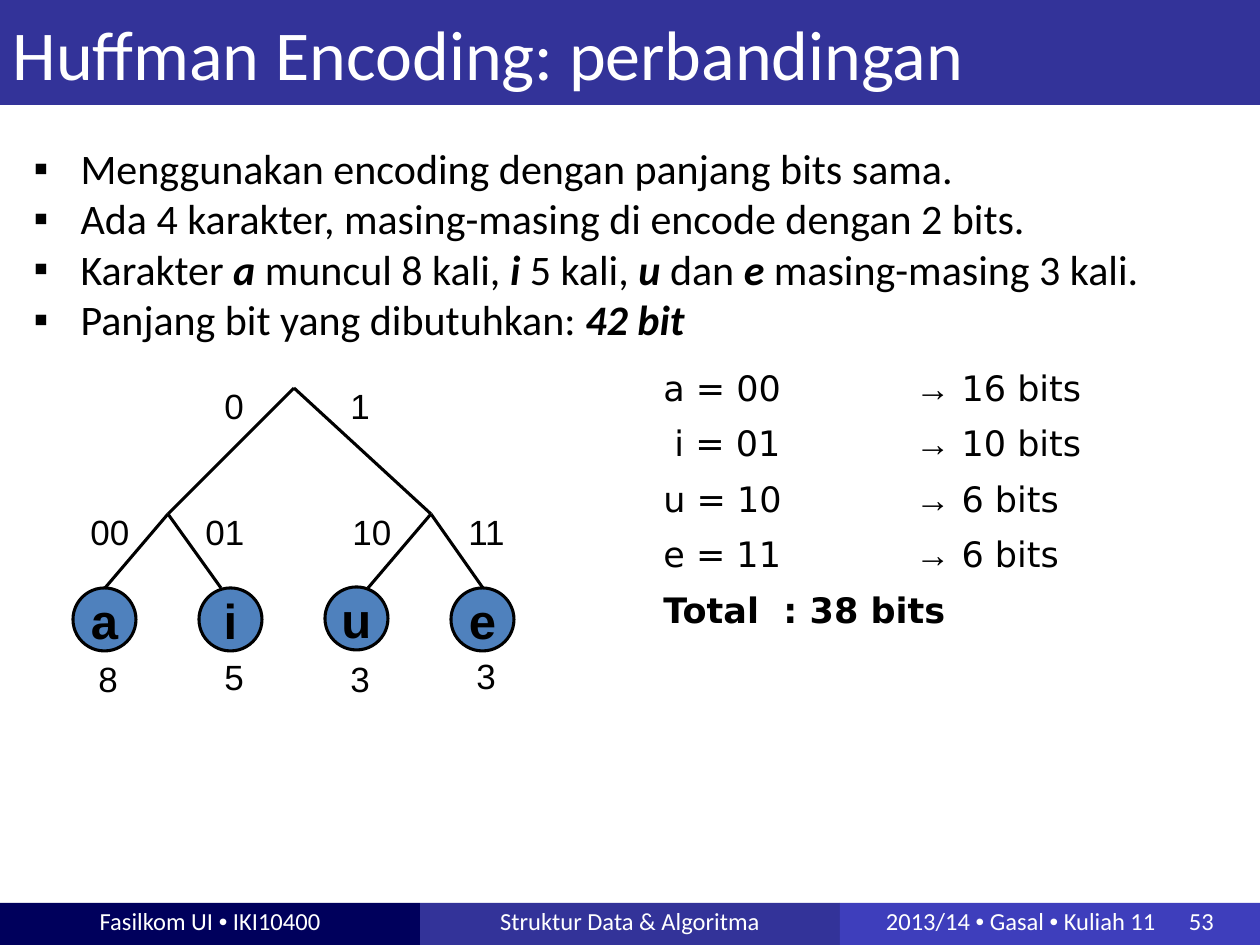
from lxml import etree
from pptx import Presentation
from pptx.dml.color import RGBColor
from pptx.enum.shapes import MSO_CONNECTOR, MSO_SHAPE
from pptx.enum.text import MSO_ANCHOR, MSO_AUTO_SIZE, PP_ALIGN
from pptx.oxml.ns import qn
from pptx.util import Pt

RECT, OVAL = MSO_SHAPE.RECTANGLE, MSO_SHAPE.OVAL
STRAIGHT = MSO_CONNECTOR.STRAIGHT
TOP, MIDDLE = MSO_ANCHOR.TOP, MSO_ANCHOR.MIDDLE
NO_FIT, GROW = MSO_AUTO_SIZE.NONE, MSO_AUTO_SIZE.SHAPE_TO_FIT_TEXT
LEFT, CENTER = PP_ALIGN.LEFT, PP_ALIGN.CENTER

BLACK = RGBColor(0x00, 0x00, 0x00)
WHITE = RGBColor(0xFF, 0xFF, 0xFF)
NAVY = RGBColor(0x00, 0x00, 0x5C)
INDIGO = RGBColor(0x33, 0x33, 0x99)
VIOLET = RGBColor(0x3E, 0x3E, 0xBC)
NODE_BLUE = RGBColor(0x4F, 0x81, 0xBD)

SANS, LABEL, CODE = "Calibri", "Arial", "DejaVu Sans"


def px(n):
    return round(n * 914400 / 126)


class Deck:
    stroke = Pt(1.75)

    def __init__(self):
        self.prs = Presentation()
        self.prs.slide_width, self.prs.slide_height = px(1260), px(945)
        self.slide = self.prs.slides.add_slide(self.prs.slide_layouts[1])
        self.shapes = self.slide.shapes

    def run(self, p, text, size, font=SANS, color=BLACK, bold=False, italic=False):
        r = p.add_run()
        r.text = text
        r.font.size, r.font.name = Pt(size), font
        r.font.bold, r.font.italic = bold, italic
        r.font.color.rgb = color

    def place(self, sp, x, y, w, h):
        sp.left, sp.top, sp.width, sp.height = px(x), px(y), px(w), px(h)

    def tab(self, p, pos):
        tabs = etree.SubElement(p._p.get_or_add_pPr(), qn("a:tabLst"))
        etree.SubElement(tabs, qn("a:tab"), pos=str(px(pos)), algn="l")

    def title(self, text, box):
        sp = self.shapes.title
        self.place(sp, *box)
        sp.fill.solid()
        sp.fill.fore_color.rgb = INDIGO
        tf = sp.text_frame
        tf.auto_size, tf.vertical_anchor = NO_FIT, MIDDLE
        p = tf.paragraphs[0]
        p.alignment = LEFT
        self.run(p, text, 40, color=WHITE)

    def bullets(self, items, box):
        sp = self.slide.placeholders[1]
        self.place(sp, *box)
        tf = sp.text_frame
        tf.auto_size, tf.vertical_anchor = NO_FIT, TOP
        for i, item in enumerate(items):
            p = tf.add_paragraph() if i else tf.paragraphs[0]
            p.space_before = Pt(0)
            pPr = p._p.get_or_add_pPr()
            pPr.set("marL", str(px(47)))
            pPr.set("indent", str(px(-47)))
            clr = etree.SubElement(pPr, qn("a:buClr"))
            etree.SubElement(clr, qn("a:srgbClr"), val=str(BLACK))
            etree.SubElement(pPr, qn("a:buFont"), typeface=LABEL)
            etree.SubElement(pPr, qn("a:buChar"), char="▪")
            for text, strong in item:
                self.run(p, text, 24, bold=strong, italic=strong)

    def shape(self, kind, box, fill):
        sp = self.shapes.add_shape(kind, *map(px, box))
        sp.shadow.inherit = False
        sp.fill.solid()
        sp.fill.fore_color.rgb = fill
        sp.text_frame.vertical_anchor = MIDDLE
        return sp

    def footer(self, texts, box, fill, tab=None):
        sp = self.shape(RECT, box, fill)
        sp.line.fill.background()
        tf = sp.text_frame
        tf.margin_top, tf.margin_bottom = 0, px(6)
        p = tf.paragraphs[0]
        p.alignment = CENTER
        if tab:
            tf.margin_left, p.alignment = px(46), LEFT
            self.tab(p, tab)
        for text in texts:
            self.run(p, text, 14, LABEL if text == "•" else SANS, WHITE)

    def node(self, text, x, y):
        sp = self.shape(OVAL, (x, y, 63, 63), NODE_BLUE)
        sp.line.color.rgb, sp.line.width = BLACK, self.stroke
        tf = sp.text_frame
        tf.word_wrap = False
        p = tf.paragraphs[0]
        p.alignment = CENTER
        self.run(p, text, 28, LABEL, bold=True)

    def edge(self, start, end):
        line = self.shapes.add_connector(STRAIGHT, *map(px, start + end))
        line.line.color.rgb, line.line.width = BLACK, self.stroke
        etree.SubElement(line._element.spPr, qn("a:effectLst"))

    def label(self, text, x, y):
        w = 44 if len(text) == 1 else 64
        tf = self.shapes.add_textbox(*map(px, (x, y, w, 55))).text_frame
        tf.word_wrap, tf.auto_size = False, GROW
        self.run(tf.paragraphs[0], text, 20, LABEL)

    def codes(self, rows, total, box):
        tf = self.shapes.add_textbox(*map(px, box)).text_frame
        tf.word_wrap, tf.auto_size = True, GROW
        for i, row in enumerate(rows + [None]):
            p = tf.add_paragraph() if i else tf.paragraphs[0]
            p.line_spacing, p.space_before = 0.8, Pt(12.5)
            if row is None:
                self.run(p, total, 20, CODE, bold=True)
                continue
            code, bits = row
            self.tab(p, 252)
            self.run(p, f"{code} \t", 20, CODE)
            self.run(p, "→", 20, LABEL)
            self.run(p, f" {bits} bits", 20, CODE)


def main():
    deck = Deck()
    deck.title("Huffman Encoding: perbandingan", (0, 0, 1260, 105))
    deck.bullets([
        [("Menggunakan encoding dengan panjang bits sama.", False)],
        [("Ada 4 karakter, masing-masing di encode dengan 2 bits.", False)],
        [("Karakter ", False), ("a ", True), ("muncul 8 kali, ", False),
         ("i ", True), ("5 kali, ", False), ("u ", True), ("dan ", False),
         ("e ", True), ("masing-masing 3 kali.", False)],
        [("Panjang bit yang dibutuhkan: ", False), ("42 bit", True)],
    ], (21, 136, 1207, 735))

    footers = [
        (["Fasilkom UI ", "•", " IKI10400"], NAVY, None),
        (["Struktur Data & Algoritma"], INDIGO, None),
        (["2013/14 ", "•", " Gasal ", "•", " Kuliah 11\t53"], VIOLET, 303),
    ]
    for i, (texts, fill, tab) in enumerate(footers):
        deck.footer(texts, (420 * i, 903, 420, 42), fill, tab)

    leaves = [("a", "8", 588, 651), ("i", "5", 588, 649),
              ("u", "3", 587, 651), ("e", "3", 588, 648)]
    for i, (char, count, node_y, count_y) in enumerate(leaves):
        deck.node(char, 73 + 126 * i, node_y)
        deck.label(count, 86 + 126 * i, count_y)

    root = (294, 388)
    branches = [((168, 514), (105, 221)), ((431, 514), (368, 483))]
    for branch, leaf_xs in branches:
        deck.edge(root, branch)
        for x in leaf_xs:
            deck.edge(branch, (x, 588))

    for text, x, y in [("0", 212, 378), ("1", 338, 378), ("00", 78, 504),
                       ("01", 193, 504), ("10", 340, 504), ("11", 456, 504)]:
        deck.label(text, x, y)

    deck.codes([("a = 00", 16), (" i = 01", 10), ("u = 10", 6), ("e = 11", 6)],
               "Total  : 38 bits", (651, 368, 505, 268))
    deck.prs.save("out.pptx")


if __name__ == "__main__":
    main()
